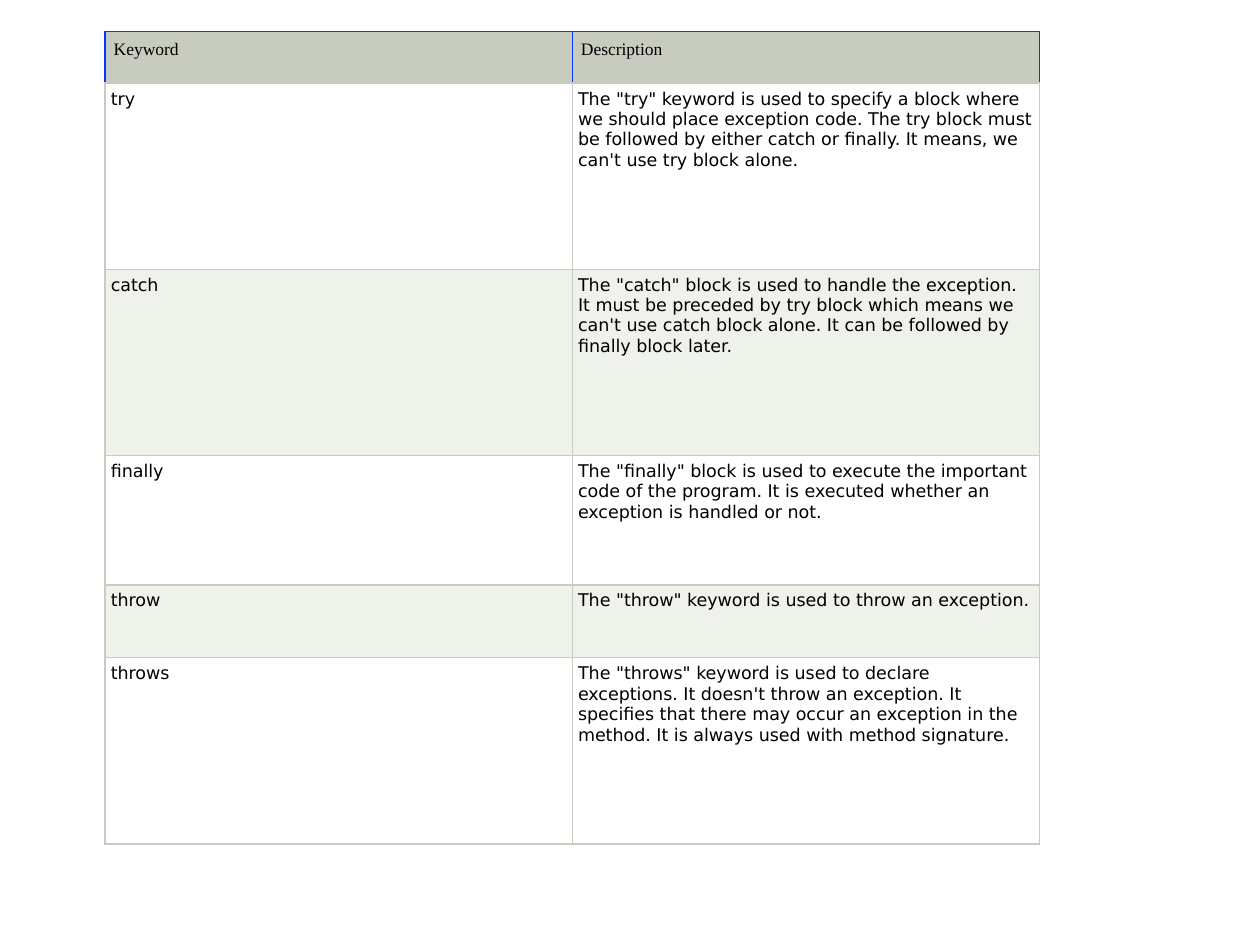
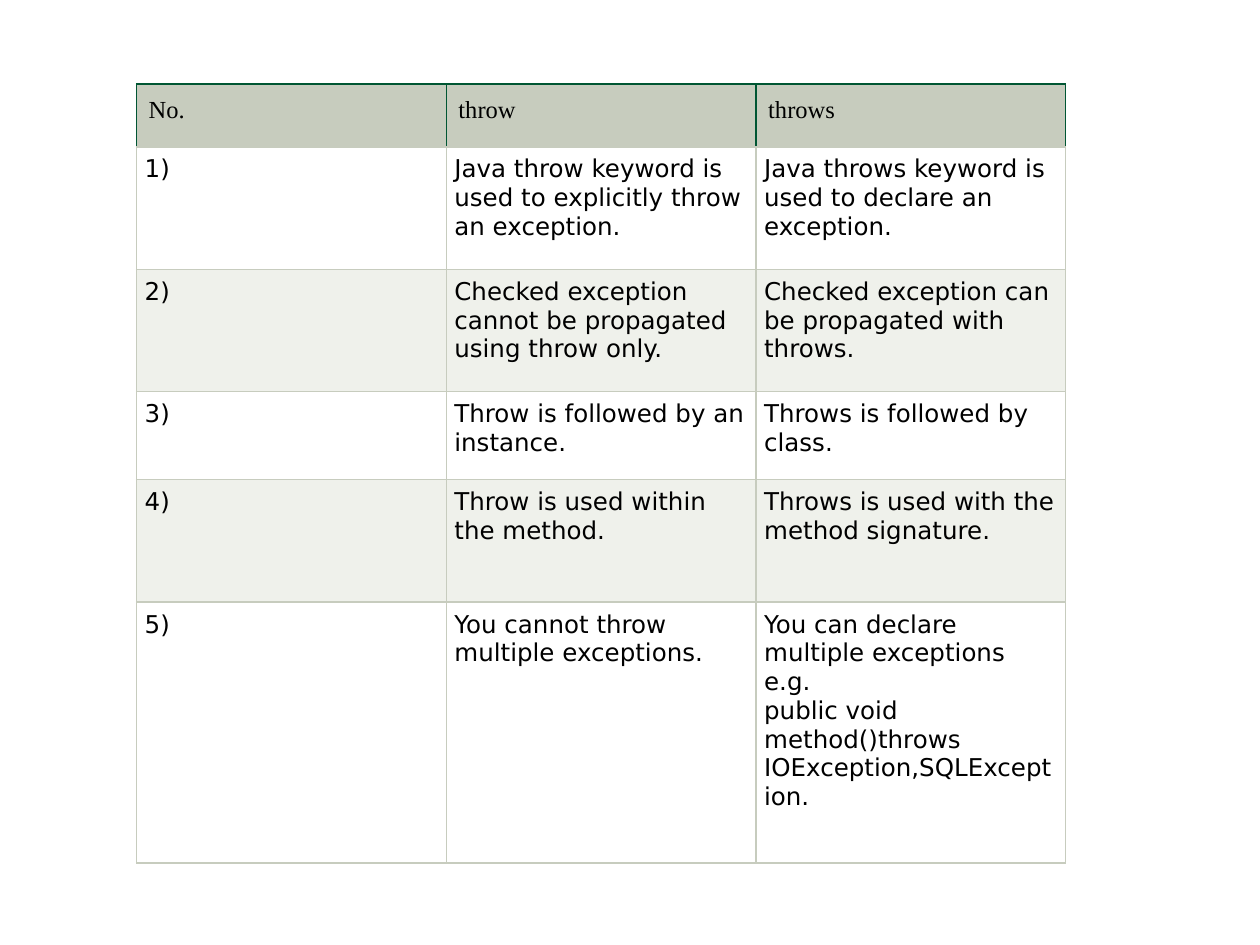
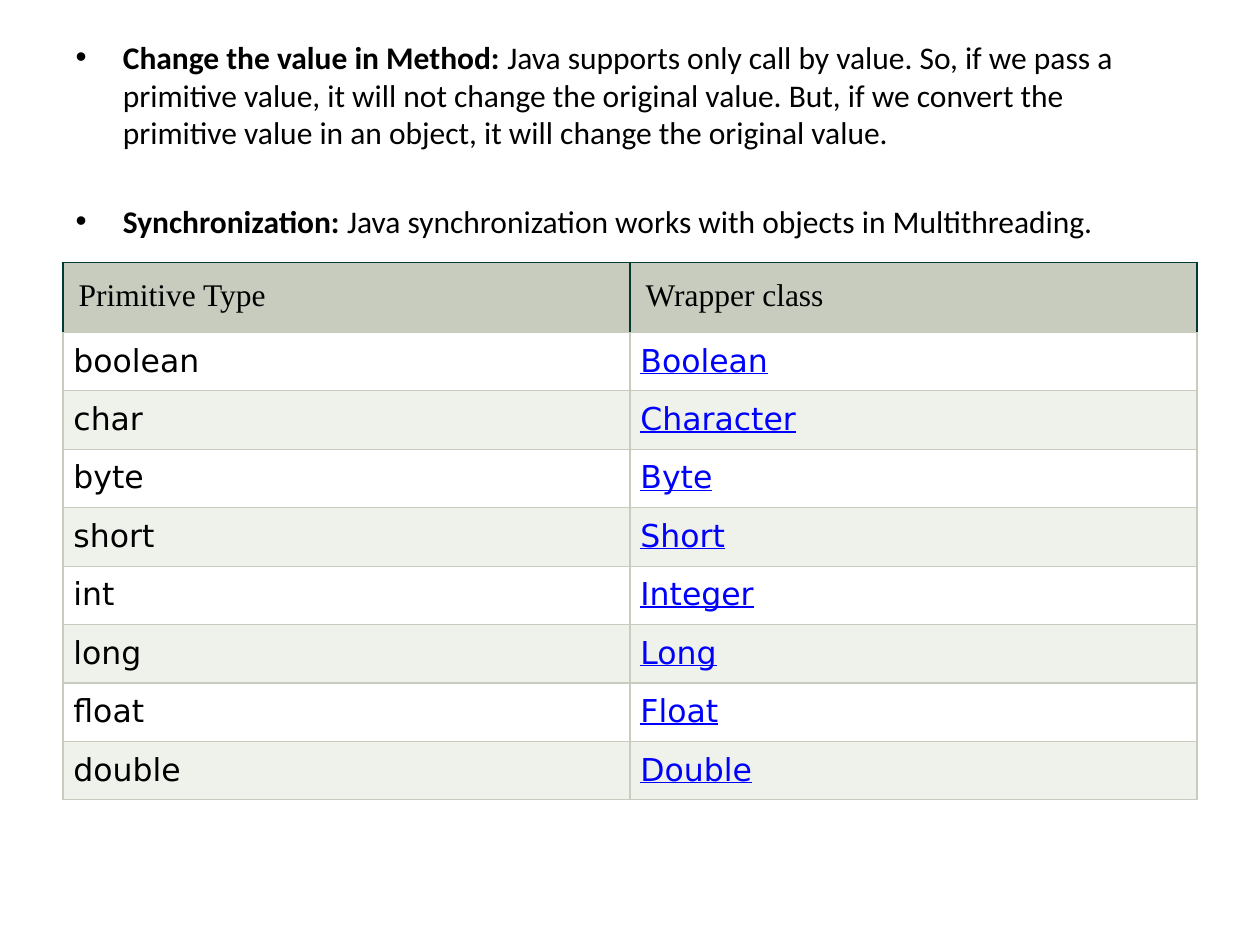
import copy
import pptx
import pptx.dml.color
import pptx.oxml
import pptx.oxml.ns
import pptx.util

COLS, ROWS = 120, 90
INK, PAPER, SAGE, MIST, LINK = "000000", "FFFFFF", "C7CCBE", "EFF1EB", "0000FF"
SERIF, SANS, BODY = "Times New Roman", "DejaVu Sans", "Calibri"

deck = pptx.Presentation()
deck.slide_width = pptx.util.Inches(10)
deck.slide_height = pptx.util.Inches(7.5)


def paint(target, color):
    """Give a fill or a font a solid colour from a hex string."""
    rgb = pptx.dml.color.RGBColor.from_string(color)
    if hasattr(target, "solid"):
        target.solid()
        target.fore_color.rgb = rgb
    else:
        target.color.rgb = rgb


def place(box):
    """Turn a box in grid columns and rows into slide lengths."""
    wide, high = deck.slide_width / COLS, deck.slide_height / ROWS
    return [round(n * unit) for n, unit in zip(box, (wide, high, wide, high))]


def write(para, text, size=18, face=BODY, color=INK, bold=False, under=False):
    """Add formatted text to a paragraph, breaking lines at newlines."""
    for count, line in enumerate(text.split("\n")):
        if count:
            para.add_line_break()
        run = para.add_run()
        run.text = line
        font = run.font
        font.size, font.name = pptx.util.Pt(size), face
        font.bold, font.underline = bold, under
        paint(font, color)
        if count:
            run._r.getprevious().append(copy.deepcopy(run._r.rPr))


def edge(cell, top, side):
    """Draw the four borders of a cell, with a sage line below."""
    props = cell._tc.get_or_add_tcPr()
    for name, color in (("L", side), ("R", side), ("T", top), ("B", SAGE)):
        props.append(pptx.oxml.parse_xml(
            f'<a:ln{name} {pptx.oxml.ns.nsdecls("a")} w="9525"><a:solidFill>'
            f'<a:srgbClr val="{color}"/></a:solidFill></a:ln{name}>'))


def fill(cell, text, pad, back, top, side, **style):
    """Set the borders, padding, background and text of a cell."""
    edge(cell, top, side)
    paint(cell.fill, back)
    cell.margin_left = cell.margin_right = pptx.util.Pt(pad)
    cell.margin_top = cell.margin_bottom = pptx.util.Pt(pad)
    write(cell.text_frame.paragraphs[0], text, **style)


def grid(slide, box, shares, data, size, rim, links=False):
    """Place a striped table whose row heights follow the given shares."""
    left, top, width, height = place(box)
    count = len(data[0])
    table = slide.shapes.add_table(
        len(data), count, left, top, width, height).table
    for col in table.columns:
        col.width = round(width / count)
    for y, (share, texts) in enumerate(zip(shares, data)):
        table.rows[y].height = round(height * share / sum(shares))
        for x, text in enumerate(texts):
            cell = table.cell(y, x)
            if y == 0:
                fill(cell, text, size / 2, SAGE, rim, rim,
                     size=size, face=SERIF)
            else:
                link = links and x == count - 1
                fill(cell, text, size / 3, PAPER if y % 2 else MIST,
                     SAGE, SAGE, size=size, face=SANS,
                     color=LINK if link else INK, under=link)


def points(slide, box, items, gap):
    """Fill the body placeholder with points that open in bold."""
    title = slide.shapes.title
    title._element.getparent().remove(title._element)
    body = slide.placeholders[1]
    body.left, body.top, body.width, body.height = place(box)
    frame = body.text_frame
    for count, (lead, rest) in enumerate(items):
        para = frame.add_paragraph() if count else frame.paragraphs[0]
        if count:
            para.space_before = pptx.util.Pt(gap)
        write(para, lead, bold=True)
        write(para, "\u00a0" + rest)


def sheet(layout):
    """Add a slide with the given layout."""
    return deck.slides.add_slide(deck.slide_layouts[layout])


WORDS = [
    ("Keyword", "Description"),
    ("try", 'The "try" keyword is used to specify a block where we should '
     "place exception code. The try block must be followed by either catch "
     "or finally. It means, we can't use try block alone."),
    ("catch", 'The "catch" block is used to handle the exception. It must be '
     "preceded by try block which means we can't use catch block alone. "
     "It can be followed by finally block later."),
    ("finally", 'The "finally" block is used to execute the important code '
     "of the program. It is executed whether an exception is handled or not."),
    ("throw", 'The "throw" keyword is used to throw an exception.'),
    ("throws", 'The "throws" keyword is used to declare exceptions. It '
     "doesn't throw an exception. It specifies that there may occur an "
     "exception in the method. It is always used with method signature."),
]

PAIRS = [
    ("No.", "throw", "throws"),
    ("1)", "Java throw keyword is used to explicitly throw an exception.",
     "Java throws keyword is used to declare an exception."),
    ("2)", "Checked exception cannot be propagated using throw only.",
     "Checked exception can be propagated with throws."),
    ("3)", "Throw is followed by an instance.", "Throws is followed by class."),
    ("4)", "Throw is used within the method.",
     "Throws is used with the method signature."),
    ("5)", "You cannot throw multiple exceptions.",
     "You can declare multiple exceptions e.g.\n"
     "public void method()throws IOException,SQLException."),
]

TYPES = [
    ("Primitive Type", "Wrapper class"),
    ("boolean", "Boolean"), ("char", "Character"), ("byte", "Byte"),
    ("short", "Short"), ("int", "Integer"), ("long", "Long"),
    ("float", "Float"), ("double", "Double"),
]

USES = [
    ("Change the value in Method:",
     "Java supports only call by value. So, if we pass a primitive value, it "
     "will not change the original value. But, if we convert the primitive "
     "value in an object, it will change the original value."),
    ("Synchronization:",
     "Java synchronization works with objects in Multithreading."),
]

grid(sheet(6), (10, 3, 89, 77.4), (0.41, 1.48, 1.48, 1.03, 0.58, 1.48),
     WORDS, 10, "0835F9")
grid(sheet(6), (13, 8, 88.5, 74.2), (0.5, 0.97, 0.97, 0.7, 0.97, 2.07),
     PAIRS, 14, "005633")
last = sheet(1)
points(last, (6, 3, 108, 77.4), USES, 29)
grid(last, (6, 25, 108, 51.2), [0.55] + [0.46] * 8, TYPES, 18, "003A30",
     links=True)

deck.save("out.pptx")
